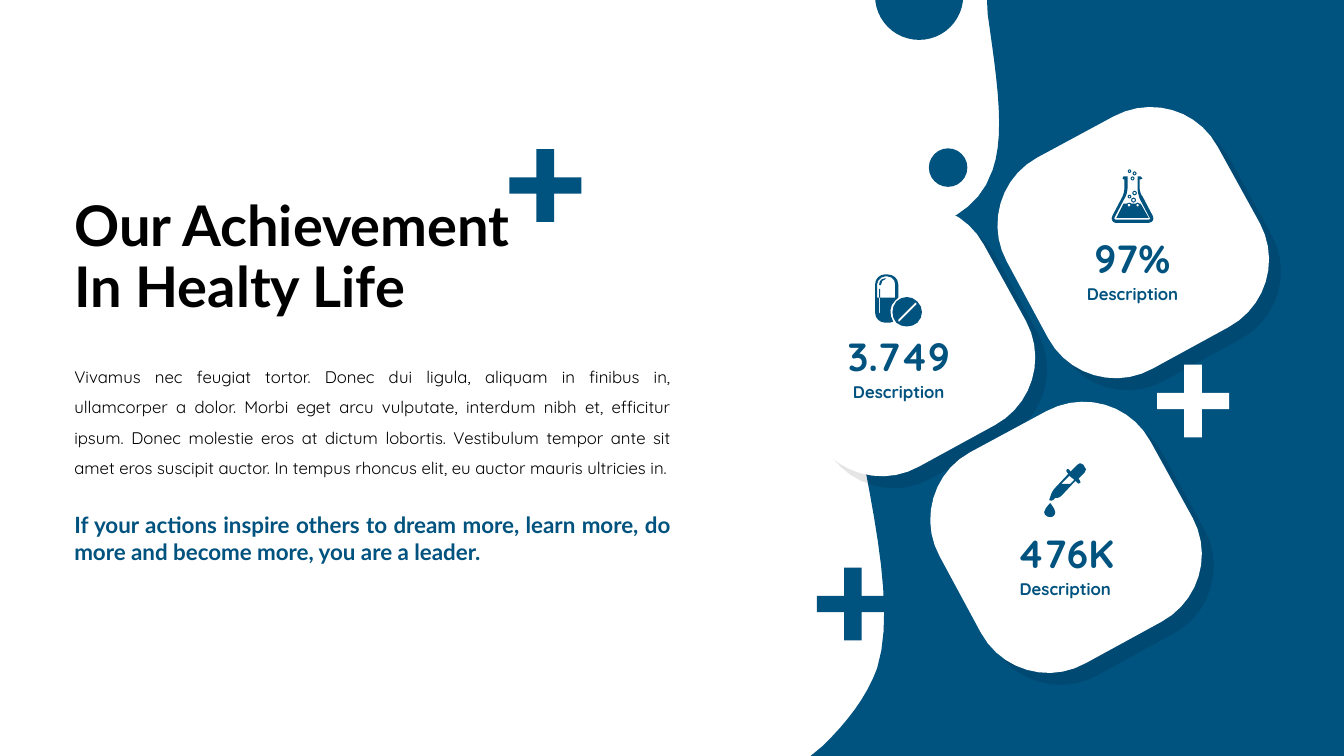
from math import cos, dist, pi, sin, sqrt

from lxml.etree import SubElement
from pptx import Presentation
from pptx.dml.color import RGBColor
from pptx.enum.shapes import MSO_SHAPE as Preset
from pptx.enum.text import MSO_ANCHOR as Anchor, MSO_AUTO_SIZE as AutoSize, PP_ALIGN as Align
from pptx.oxml.ns import qn
from pptx.util import Pt

BLUE = RGBColor(0x00, 0x52, 0x7F)
WHITE = RGBColor(0xFF, 0xFF, 0xFF)
BLACK = RGBColor(0x00, 0x00, 0x00)
HEADING_FONT, BODY_FONT = "Lato", "Quicksand"

ICON_UNIT = 0.72   # points per step of an icon's grid
TILE_SIZE = 194

# Outlines: M starts a contour, L draws a line, C a cubic curve; contours close themselves
PANEL = ("M 705 0 L 960 0 L 960 540 L 579 540 L 587.5 533 C 605 516 619 498 626.5 477.5 "
         "C 648 410 593 274 607 214.5 C 621.5 155.5 691 176 709 121.5 C 718.5 95 711.5 53 705.5 10")
TILE = ("M 83.5 7.2 C 110.2 -7.2 143.3 2.2 157.7 28.8 L 187.9 83.5 "
        "C 202.3 110.2 192.2 143.3 165.6 157.7 L 111.6 187.2 "
        "C 85 202.3 51.1 192.2 36.7 165.6 L 7.2 110.9 C -7.2 85 2.2 51.1 28.8 36.7")
CROSS = ("M 19.4 0 L 32 0 L 32 20.2 L 51.4 20.2 L 51.4 31.8 L 32 31.8 L 32 52 "
         "L 19.4 52 L 19.4 31.8 L 0 31.8 L 0 20.2 L 19.4 20.2")


def circle(x, y, r, sides=8):
    corners = [f"{x + r * cos(2 * pi * i / sides):.2f} {y + r * sin(2 * pi * i / sides):.2f}"
               for i in range(sides)]
    return " M " + " L ".join(corners)


def bubble(x, y, r):
    return circle(x, y, r) + circle(x, y, r - 1, sides=6)


FLASK = ("M 41 51 C 40 52 39 53 37 53 L 4 53 C 3 53 1 52 1 51 C 0 50 0 48 1 46 L 11 27 "
         "C 12 25 13 21 13 19 L 13 10 L 12 10 L 11 9 L 12 7 L 16 7 "
         "L 16 19 C 16 22 15 26 13 29 L 3 48 L 3 49 L 4 50 L 37 50 "
         "L 39 49 L 38 48 L 28 29 C 27 26 26 22 26 19 L 26 7 L 29 7 "
         "L 31 9 L 29 10 L 28 10 L 28 19 C 28 21 29 25 31 27 L 41 46 C 42 48 42 50 41 51 "
         "M 18 33 L 20 34 L 24 34 L 26 33 L 28 34 L 29 34 L 37 48 L 5 48 L 12 34 L 15 34"
         + circle(26, 35.5, 1.3, sides=6) + circle(17.5, 35.5, 1.5, sides=6)
         + bubble(22, 30.5, 2.5) + bubble(23, 23.5, 2.3) + bubble(18, 27, 1.9)
         + bubble(21, 9, 2) + bubble(23, 4, 2) + bubble(18, 1.8, 1.8))
DROPPER = ("M 40 4 L 39 2 C 37 0 34 0 33 2 L 26 9 L 25 7 C 24 6 23 6 22 7 C 22 8 22 9 23 10 "
           "L 24 11 L 10 26 L 8 29 L 7 31 L 6 34 L 5 37 "
           "C 6 38 8 38 9 37 L 11 35 L 13 35 C 14 35 16 34 17 33 L 31 18 L 33 20 "
           "C 33 21 35 21 36 20 C 36 20 36 18 35 17 L 34 16 L 40 10 C 42 8 42 5 40 4 "
           "M 26 21 L 17 21 L 25 13 L 30 17 "
           "M 6 40 C 6 40 11 46 11 49 C 11 52 9 54 6 54 C 3 54 0 52 0 49 C 0 46 6 40 6 40")
PILLS = ("M 11 4 L 10 5 C 8 5 6 7 6 10 L 5 11 L 4 10 C 4 6 7 4 10 4 "
         "M 18 47 C 16 48 14 48 12 48 L 10 48 C 5 48 0 44 0 38 L 0 10 C 0 4 5 0 10 0 L 12 0 "
         "C 18 0 23 4 23 10 L 23 23 C 22 24 21 25 20 26 C 14 31 14 40 18 47 "
         "M 20 23 L 20 10 C 20 6 17 2 12 2 L 10 2 C 6 2 2 6 2 10 L 2 23 L 4 23 L 4 38 "
         "L 4.5 39 L 5 38 L 5 23 "
         "M 42 48 C 36 53 27 53 21 48 C 16 42 16 33 21 27 C 27 21 36 21 42 27 C 48 33 48 42 42 48 "
         "M 41 28 L 40 28 L 23 45 L 23 47 L 24 47 L 41 30 "
         "M 4 14.5 L 4 23 L 5 23 L 5 14.5")

# Icon, its width on the grid, its distance from the tile's top, value, tile left and top
ACHIEVEMENTS = [
    (PILLS, 47, 50, "3.749", 545, 146),
    (DROPPER, 42, 44, "476K", 664, 286.5),
    (FLASK, 42, 45, "97%", 712, 76),
]


def bend(anchors):
    """Points along a cubic curve, more of them the longer it is."""
    steps = max(1, round(sqrt(sum(dist(a, b) for a, b in zip(anchors, anchors[1:])))))
    for step in range(1, steps + 1):
        t = step / steps
        weights = ((1 - t) ** 3, 3 * t * (1 - t) ** 2, 3 * t * t * (1 - t), t ** 3)
        yield tuple(sum(w * a[axis] for w, a in zip(weights, anchors)) for axis in (0, 1))


def trace(path, left, top, unit):
    """Turn an outline into contours made of points."""
    contours = []
    tokens = iter(path.split())

    def point():
        return left + float(next(tokens)) * unit, top + float(next(tokens)) * unit

    for command in tokens:
        if command == "M":
            contours.append([point()])
        elif command == "L":
            contours[-1].append(point())
        else:
            contours[-1].extend(list(bend([contours[-1][-1], point(), point(), point()])))
    return [[(Pt(x), Pt(y)) for x, y in contour] for contour in contours]


def paint(shape, color):
    shape.shadow.inherit = False
    shape.fill.solid()
    shape.fill.fore_color.rgb = color
    shape.line.fill.background()


def draw_outline(slide, path, left, top, color, unit=1):
    contours = trace(path, left, top, unit)
    builder = slide.shapes.build_freeform(*contours[0][0])
    for index, contour in enumerate(contours):
        if index:
            builder.move_to(*contour[0])
        builder.add_line_segments(contour[1:], close=True)
    outline = builder.convert_to_shape()
    paint(outline, color)
    return outline


def write(frame, text, font=BODY_FONT, size=12, color=BLUE, bold=False,
          align=Align.LEFT, anchor=Anchor.TOP, spacing=1.0, fit=AutoSize.SHAPE_TO_FIT_TEXT):
    frame.word_wrap = True
    frame.auto_size = fit
    frame.vertical_anchor = anchor
    paragraph = frame.paragraphs[0]
    paragraph.alignment = align
    paragraph.line_spacing = spacing
    run = paragraph.add_run()
    run.text = text
    run.font.name, run.font.size, run.font.bold = font, Pt(size), bold
    run.font.color.rgb = color


def add_text(slide, text, left, top, width, height, **style):
    box = slide.shapes.add_textbox(Pt(left), Pt(top), Pt(width), Pt(height))
    write(box.text_frame, text, **style)


def cast_shadow(shape):
    effects = shape.element.spPr.find(qn("a:effectLst"))
    shadow = SubElement(effects, qn("a:outerShdw"), blurRad="0", dist=str(Pt(12.1)),
                        dir="2700000", algn="tl", rotWithShape="0")
    black = SubElement(shadow, qn("a:srgbClr"), val="000000")
    SubElement(black, qn("a:alpha"), val="10000")


def add_tile(slide, icon, icon_width, icon_top, value, left, top):
    cast_shadow(draw_outline(slide, TILE, left, top, WHITE))
    centred = dict(bold=True, align=Align.CENTER, anchor=Anchor.MIDDLE)
    add_text(slide, "Description", left + 51.5, top + 123, 91, 21.8, **centred)
    add_text(slide, value, left + 42.5, top + 87.5, 109, 41.2, size=28, **centred)
    icon_left = left + (TILE_SIZE - icon_width * ICON_UNIT) / 2
    draw_outline(slide, icon, icon_left, top + icon_top, BLUE, unit=ICON_UNIT)


def add_decoration(slide):
    for left, top, color in ((826.5, 260.5, WHITE), (583.5, 405.5, BLUE), (363.8, 106.5, BLUE)):
        draw_outline(slide, CROSS, left, top, color)
    for left, top, size in ((663.5, 106, 27.5), (625, -34.5, 63)):
        dot = slide.shapes.add_shape(Preset.OVAL, Pt(left), Pt(top), Pt(size), Pt(size))
        paint(dot, BLUE)


def add_story(slide, left, top, width):
    title = slide.shapes.title
    title.left, title.top, title.width, title.height = Pt(left), Pt(top), Pt(366.5), Pt(104.5)
    write(title.text_frame, "Our Achievement In Healty Life", font=HEADING_FONT, size=40,
          color=BLACK, bold=True, anchor=Anchor.MIDDLE, spacing=0.9, fit=AutoSize.NONE)
    add_text(slide, "Vivamus nec feugiat tortor. Donec dui ligula, aliquam in finibus in, "
             "ullamcorper a dolor. Morbi eget arcu vulputate, interdum nibh et, efficitur ipsum. "
             "Donec molestie eros at dictum lobortis. Vestibulum tempor ante sit amet eros "
             "suscipit auctor. In tempus rhoncus elit, eu auctor mauris ultricies in.",
             left, top + 118.8, width, 93.5, color=BLACK, align=Align.JUSTIFY, spacing=1.5)
    add_text(slide, "If your actions inspire others to dream more, learn more, do more and "
             "become more, you are a leader.", left, top + 229, width, 46,
             font=HEADING_FONT, size=16, bold=True, align=Align.JUSTIFY)


def main():
    deck = Presentation()
    deck.slide_width, deck.slide_height = Pt(960), Pt(540)
    slide = deck.slides.add_slide(deck.slide_layouts[5])
    draw_outline(slide, PANEL, 0, 0, BLUE)
    for achievement in ACHIEVEMENTS:
        add_tile(slide, *achievement)
    add_decoration(slide)
    add_story(slide, 46, 132.5, 440.5)
    deck.save("out.pptx")


if __name__ == "__main__":
    main()
